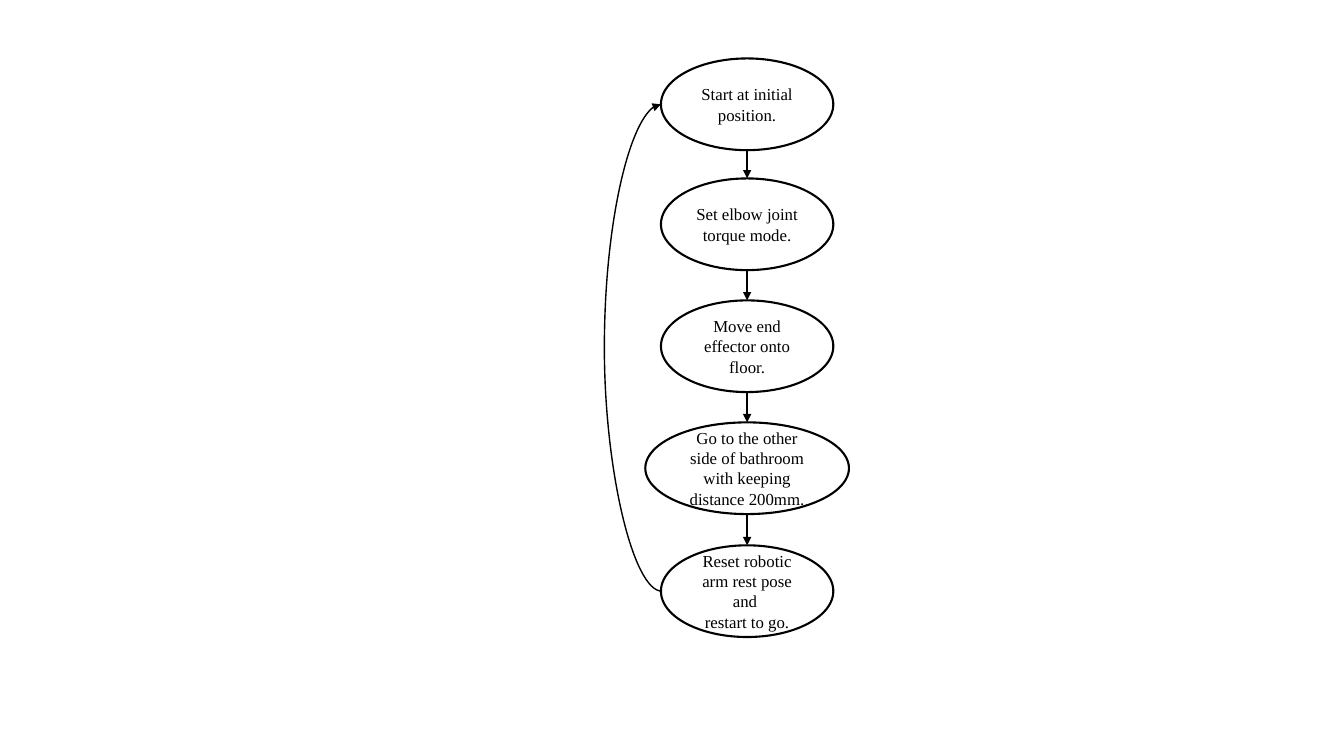
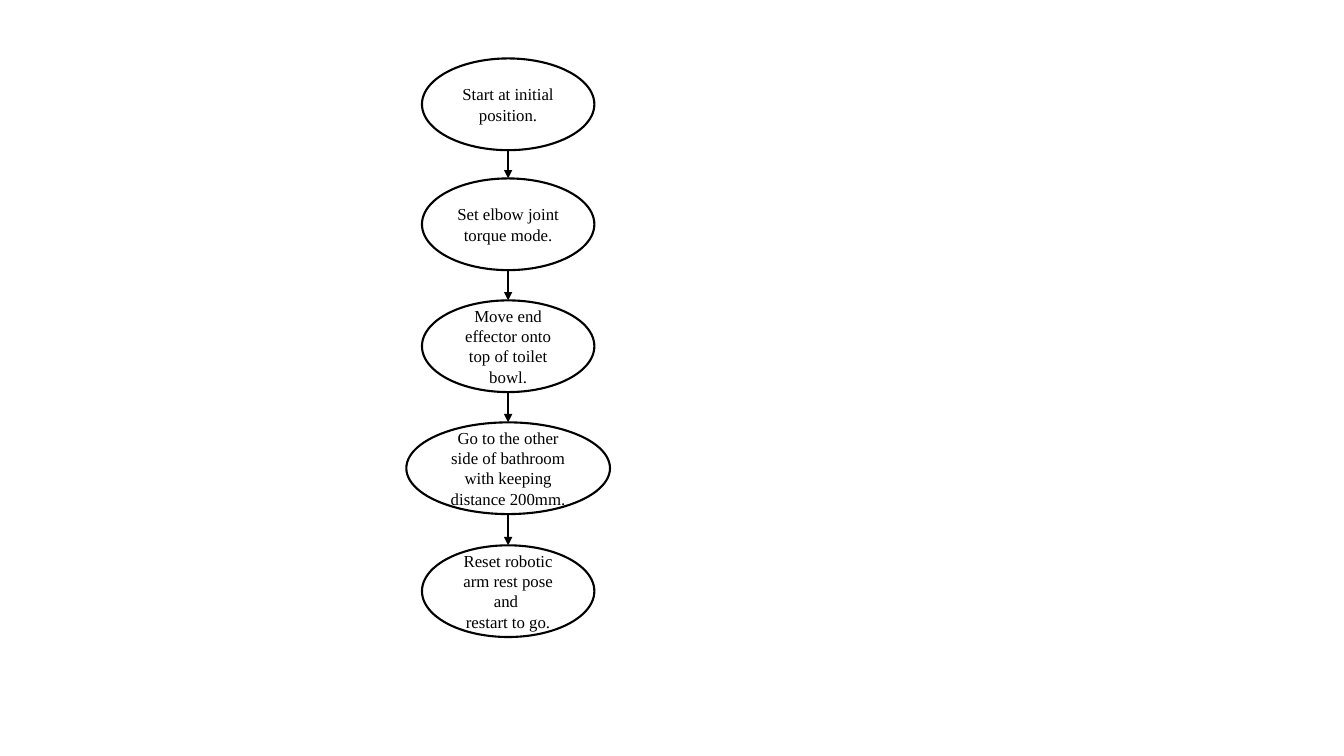
from lxml.etree import SubElement
from pptx import Presentation
from pptx.dml.color import RGBColor
from pptx.enum.shapes import MSO_CONNECTOR, MSO_SHAPE
from pptx.enum.text import MSO_ANCHOR, PP_ALIGN
from pptx.oxml.ns import qn
from pptx.util import Inches, Pt

COLORS = {"ink": "000000", "paper": "FFFFFF"}
FONT, SIZE = "Times New Roman", 12
TOPS = (0.58, 1.77, 2.98, 4.19, 5.41)
WIDTHS = (1.71, 1.71, 1.71, 2.02, 1.71)
HEIGHT = 0.91
BULGE = 0.58

FLOWS = [
    {"mid": 7.41, "target": "floor.", "loop": True},
    {"mid": 5.04, "target": "top of toilet bowl.", "loop": False},
]


def list_steps(target):
    return [
        ["Start at initial position."],
        ["Set elbow joint torque mode."],
        [f"Move end effector onto {target}"],
        ["Go to the other side of bathroom with keeping distance 200mm."],
        ["Reset robotic arm rest pose and ", "restart to go."],
    ]


def color(name):
    return RGBColor.from_string(COLORS[name])


def ink(line, width):
    line.color.rgb = color("ink")
    line.width = Pt(width)


def add_step(shapes, mid, top, width, lines):
    box = [Inches(v) for v in (mid - width / 2, top, width, HEIGHT)]
    oval = shapes.add_shape(MSO_SHAPE.OVAL, *box)
    oval.shadow.inherit = False
    oval.fill.background()
    ink(oval.line, 1.5)
    frame = oval.text_frame
    frame.word_wrap = True
    frame.vertical_anchor = MSO_ANCHOR.MIDDLE
    for i, text in enumerate(lines):
        para = frame.add_paragraph() if i else frame.paragraphs[0]
        para.alignment = PP_ALIGN.CENTER
        run = para.add_run()
        run.text = text
        run.font.name = FONT
        run.font.size = Pt(SIZE)
        run.font.color.rgb = color("ink")


def add_arrow(shapes, kind, start, end, width):
    arrow = shapes.add_connector(kind, *map(Inches, start + end))
    ink(arrow.line, width)
    props = arrow._element.spPr
    SubElement(props.find(qn("a:ln")), qn("a:tailEnd"), type="triangle")
    SubElement(props, qn("a:effectLst"))
    return props


def add_loop(shapes, left):
    """Curve from the last step back to the first, bowed to the left."""
    slant = 0.01
    first, last = (top + HEIGHT / 2 for top in (TOPS[0], TOPS[-1]))
    props = add_arrow(shapes, MSO_CONNECTOR.CURVE,
                      (left, first), (left + slant, last), 1)
    props.find(qn("a:xfrm")).set("rot", str(180 * 60000))
    guides = props.find(qn("a:prstGeom")).find(qn("a:avLst"))
    bend = round(BULGE / slant * 100000)
    SubElement(guides, qn("a:gd"), name="adj1", fmla=f"val {bend}")


def add_flow(slide, mid, target, loop):
    shapes = slide.shapes.add_group_shape().shapes
    for top, width, lines in zip(TOPS, WIDTHS, list_steps(target)):
        add_step(shapes, mid, top, width, lines)
    for top, below in zip(TOPS, TOPS[1:]):
        add_arrow(shapes, MSO_CONNECTOR.STRAIGHT,
                  (mid, top + HEIGHT), (mid, below), 1.5)
    if loop:
        add_loop(shapes, mid - WIDTHS[0] / 2)


def main():
    deck = Presentation()
    deck.slide_width, deck.slide_height = Inches(13.33), Inches(7.5)
    for flow in FLOWS:
        slide = deck.slides.add_slide(deck.slide_layouts[6])
        slide.background.fill.solid()
        slide.background.fill.fore_color.rgb = color("paper")
        add_flow(slide, **flow)
    deck.save("out.pptx")


if __name__ == "__main__":
    main()
